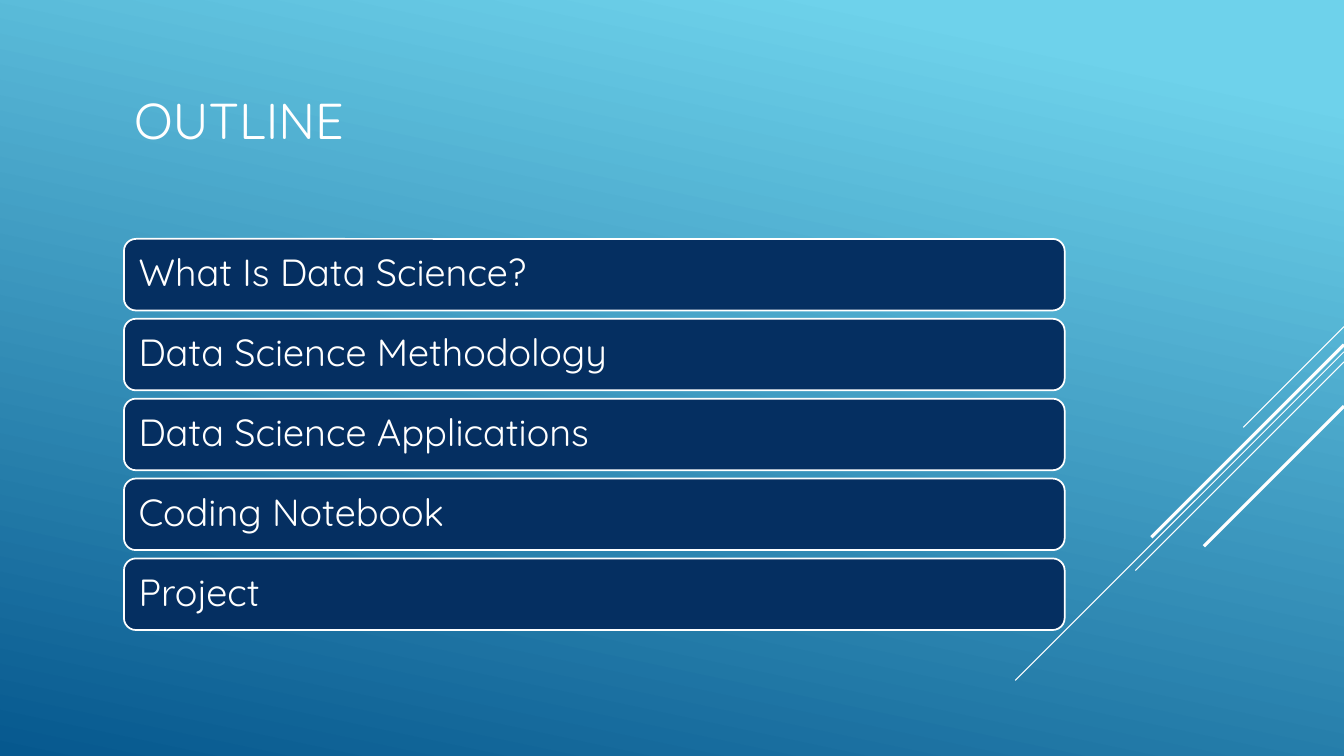
from lxml.etree import SubElement
from pptx import Presentation
from pptx.dml.color import RGBColor
from pptx.enum.shapes import MSO_CONNECTOR as Connector, MSO_SHAPE as Shape
from pptx.enum.text import MSO_ANCHOR as Anchor, PP_ALIGN as Align
from pptx.oxml.ns import qn
from pptx.util import Inches, Pt

WHITE = RGBColor(0xFF, 0xFF, 0xFF)
NAVY = RGBColor(0x05, 0x2F, 0x61)
SKY = RGBColor(0x6E, 0xD2, 0xEB)
OCEAN = RGBColor(0x06, 0x58, 0x8E)
FONT = "Quicksand"

PAGE_WIDTH, PAGE_HEIGHT = 13.33, 7.5
LEFT, WIDTH = 1.23, 9.33
FIRST_TOP, LAST_TOP, ROW_HEIGHT = 2.37, 5.54, 0.71

TOPICS = [
    "What Is Data Science?",
    "Data Science Methodology",
    "Data Science Applications",
    "Coding Notebook",
    "Project",
]
# Height at the right edge, horizontal run, line width in points
DIAGONALS = [
    (3.24, 1.0, 0.75),
    (3.49, 3.26, 0.75),
    (3.59, 2.07, 0.75),
    (3.42, 1.91, 2.25),
    (4.03, 1.39, 2.25),
]


def paint_background(page):
    fill = page.background.fill
    fill.gradient()
    fill.gradient_angle = 360 - 102  # counted counter-clockwise
    for stop, position, color in zip(fill.gradient_stops, (0.1, 1), (SKY, OCEAN)):
        stop.position = position
        stop.color.rgb = color


def add_diagonal(page, top, run, weight):
    """Draw a 45-degree line from the right edge down to the left."""
    line = page.shapes.add_connector(
        Connector.STRAIGHT, Inches(PAGE_WIDTH), Inches(top),
        Inches(PAGE_WIDTH - run), Inches(top + run))
    line.line.color.rgb = WHITE
    line.line.width = Pt(weight)
    SubElement(line._element.spPr, qn("a:effectLst"))


def write_text(box, text, size, inset, spacing):
    frame = box.text_frame
    frame.text = text
    frame.word_wrap = True
    frame.vertical_anchor = Anchor.MIDDLE
    frame.margin_left = frame.margin_right = Inches(inset)
    para = frame.paragraphs[0]
    para.alignment = Align.LEFT
    para.line_spacing = spacing
    font = para.runs[0].font
    font.name = FONT
    font.size = Pt(size)
    font.color.rgb = WHITE


def add_title(page, text):
    title = page.shapes.title
    title.left, title.top = Inches(LEFT), Inches(0.36)
    title.width, title.height = Inches(WIDTH), Inches(1.65)
    write_text(title, text, 36, 0.1, 1.0)


def add_topic(page, text, top):
    bar = page.shapes.add_shape(
        Shape.ROUNDED_RECTANGLE, Inches(LEFT), Inches(top),
        Inches(WIDTH), Inches(ROW_HEIGHT))
    bar.shadow.inherit = False
    bar.fill.solid()
    bar.fill.fore_color.rgb = NAVY
    bar.line.color.rgb = WHITE
    bar.line.width = Pt(1.25)
    write_text(bar, text, 27, 0.11, 0.9)


def main():
    deck = Presentation()
    deck.slide_width, deck.slide_height = Inches(PAGE_WIDTH), Inches(PAGE_HEIGHT)
    page = deck.slides.add_slide(deck.slide_layouts.get_by_name("Title Only"))
    paint_background(page)
    for top, run, weight in DIAGONALS:
        add_diagonal(page, top, run, weight)
    add_title(page, "OUTLINE")
    row_step = (LAST_TOP - FIRST_TOP) / (len(TOPICS) - 1)
    for row, topic in enumerate(TOPICS):
        add_topic(page, topic, FIRST_TOP + row * row_step)
    deck.save("out.pptx")


if __name__ == "__main__":
    main()
